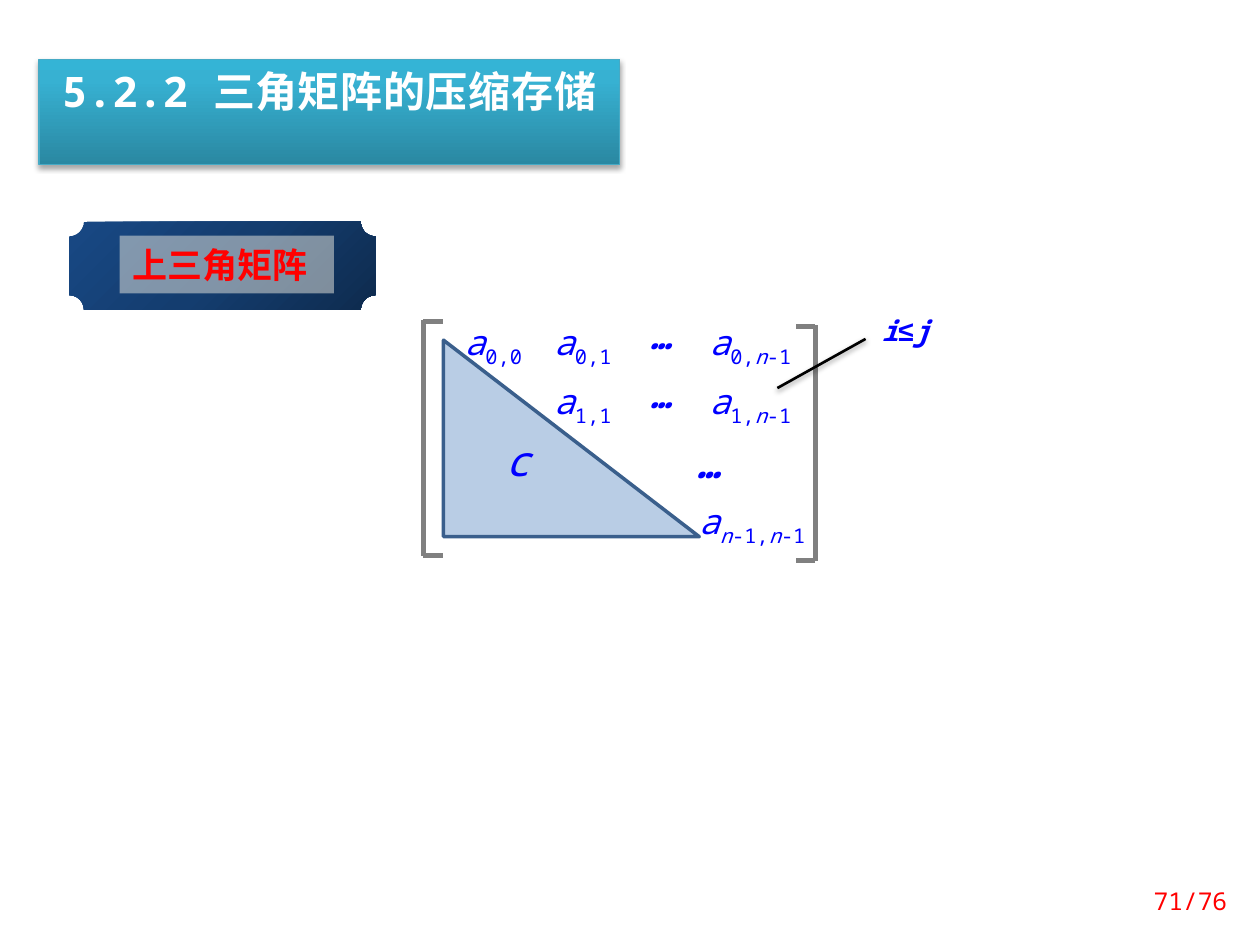
from itertools import groupby

from lxml import etree
from pptx import Presentation
from pptx.dml.color import RGBColor
from pptx.enum.shapes import MSO_CONNECTOR as LINK, MSO_SHAPE as SHAPE
from pptx.enum.text import MSO_ANCHOR as ANCHOR, MSO_AUTO_SIZE as SIZE, PP_ALIGN as ALIGN
from pptx.oxml import parse_xml
from pptx.oxml.ns import nsdecls, qn
from pptx.util import Inches, Pt

BLUE = RGBColor(0x00, 0x00, 0xFF)
RED = RGBColor(0xFF, 0x00, 0x00)
WHITE = RGBColor(0xFF, 0xFF, 0xFF)
BLACK = RGBColor(0x00, 0x00, 0x00)
GRAY = RGBColor(0x80, 0x80, 0x80)
CREAM = RGBColor(0xEE, 0xEC, 0xE1)
PALE = RGBColor(0xB9, 0xCD, 0xE5)
STEEL = RGBColor(0x3A, 0x5F, 0x8C)
TEAL = RGBColor(0x46, 0xAA, 0xC5)
NAVY_STOPS = [(0, RGBColor(0x0E, 0x2B, 0x4E)), (50, RGBColor(0x14, 0x3D, 0x6F)),
              (100, RGBColor(0x18, 0x48, 0x84))]
TEAL_STOPS = [(0, RGBColor(0x2A, 0x88, 0xA2)), (80, RGBColor(0x37, 0xB1, 0xD2)),
              (100, RGBColor(0x34, 0xB4, 0xD6))]
UPWARD = '<a:lin ang="16200000" scaled="0"/>'
CORNER = '<a:path path="circle"><a:fillToRect l="100000" t="100000"/></a:path>'
MONO, HAN, SANS = "Noto Sans Mono", "Noto Sans CJK SC", "Arial"


class Deck:
    """Holds the style and the slide being drawn."""

    def __init__(self):
        self.prs = Presentation()
        self.prs.slide_width, self.prs.slide_height = Inches(10), Inches(7.5)
        self.slide = self.prs.slides.add_slide(self.prs.slide_layouts[5])
        self.shapes = self.slide.shapes

    def group(self):
        self.shapes = self.slide.shapes.add_group_shape().shapes

    def font(self, run, size, color, face=MONO, bold=False, italic=False):
        font = run.font
        font.size, font.name, font.bold, font.italic = Pt(size), face, bold, italic
        font.color.rgb = color
        east = etree.SubElement(run._r.get_or_add_rPr(), qn("a:ea"))
        east.set("typeface", HAN if face == MONO and not run.text.isascii()
                 and run.text != "…" else face)

    def shade(self, shape, stops, course):
        shape.fill.solid()
        marks = "".join(f'<a:gs pos="{pos * 1000}"><a:srgbClr val="{color}"/></a:gs>'
                        for pos, color in stops)
        grad = parse_xml(f'<a:gradFill {nsdecls("a")} rotWithShape="1">'
                         f'<a:gsLst>{marks}</a:gsLst>{course}</a:gradFill>')
        props = shape._element.spPr
        props.replace(props.find(qn("a:solidFill")), grad)

    def effect(self, shape, alpha=0, dist=0):
        """Adds a downward shadow, or an empty effect list."""
        props = shape._element.spPr
        effects = etree.SubElement(props, qn("a:effectLst"))
        if alpha:
            effects.append(parse_xml(
                f'<a:outerShdw {nsdecls("a")} blurRad="{Pt(3.1)}" dist="{Pt(dist)}" '
                f'dir="5400000" rotWithShape="0"><a:srgbClr val="{BLACK}">'
                f'<a:alpha val="{alpha * 1000}"/></a:srgbClr></a:outerShdw>'))

    def line(self, x1, y1, x2, y2, color=GRAY, width=3, **shadow):
        link = self.shapes.add_connector(LINK.STRAIGHT, *map(Inches, (x1, y1, x2, y2)))
        link.line.color.rgb, link.line.width = color, Pt(width)
        self.effect(link, **shadow)

    def shape(self, kind, x, y, w, h):
        shape = self.shapes.add_shape(kind, *map(Inches, (x, y, w, h)))
        shape.shadow.inherit = False
        shape.line.fill.background()
        return shape

    def text(self, x, y, w, h, parts, size, align=ALIGN.CENTER, inset=True,
             color=BLUE, bold=False, spacing=0.8, grow=True):
        """Each part is (text, italic, subscript, face)."""
        box = self.shapes.add_textbox(*map(Inches, (x, y, w, h)))
        frame = box.text_frame
        frame.word_wrap = True
        frame.auto_size = SIZE.SHAPE_TO_FIT_TEXT if grow else SIZE.NONE
        if not inset:
            frame.margin_left = frame.margin_right = 0
            frame.margin_top = frame.margin_bottom = 0
        par = frame.paragraphs[0]
        par.alignment, par.line_spacing = align, spacing
        for words, italic, low, face in parts:
            run = par.add_run()
            run.text = words
            self.font(run, size, color, face, bold, italic)
            if low:
                run.font._element.set("baseline", "-25000")
        return frame

    def term(self, x, y, index, w=0.79):
        """Writes the matrix element a with its index; letters are italic."""
        low = [("".join(chars), alpha, True, MONO)
               for alpha, chars in groupby(index, str.isalpha)]
        self.text(x, y, w, 0.27, [("a", True, False, MONO)] + low, 20, inset=False)

    def dots(self, x, y, size=20, h=0.27):
        self.text(x, y, 0.63, h, [("…", True, False, MONO)], size,
                  inset=False, bold=True)

    def title(self, x, y, w, h, first, rest):
        box = self.slide.shapes.title
        box.left, box.top, box.width, box.height = map(Inches, (x, y, w, h))
        self.shade(box, TEAL_STOPS, UPWARD)
        box.line.color.rgb, box.line.width = TEAL, Pt(0.75)
        self.effect(box, alpha=35, dist=1.8)
        frame = box.text_frame
        frame.auto_size, frame.vertical_anchor = SIZE.SHAPE_TO_FIT_TEXT, ANCHOR.TOP
        frame.word_wrap = True
        par = frame.paragraphs[0]
        par.alignment = ALIGN.CENTER
        for words in (first, rest):
            run = par.add_run()
            run.text = words
            self.font(run, 24, WHITE, bold=True)
        run.font._element.set("spc", "50")

    def plaque(self, words):
        plate = self.shape(SHAPE.PLAQUE, 0.55, 1.76, 2.43, 0.7)
        self.shade(plate, NAVY_STOPS, CORNER)
        label = self.shape(SHAPE.RECTANGLE, 0.95, 1.87, 1.7, 0.46)
        label.fill.solid()
        label.fill.fore_color.rgb = CREAM
        tint = label._element.spPr.find(qn("a:solidFill"))[0]
        etree.SubElement(tint, qn("a:alpha")).set("val", "50000")
        frame = label.text_frame
        frame.text = words
        frame.word_wrap, frame.vertical_anchor = False, ANCHOR.MIDDLE
        par = frame.paragraphs[0]
        par.alignment = ALIGN.LEFT
        hang = par._p.get_or_add_pPr()
        hang.set("marL", str(Inches(0.5)))
        hang.set("indent", str(Inches(-0.5)))
        self.font(par.runs[0], 20, RED, HAN, bold=True)


def main():
    deck = Deck()
    deck.title(0.31, 0.47, 4.61, 0.5, "5.2.2 三角", "矩阵的压缩存储")

    # Matrix brackets
    deck.group()
    for x, tick, top in ((3.36, 3.52, 2.54), (6.47, 6.32, 2.58)):
        foot = top + 1.87
        deck.line(x, top, x, foot)
        for y in (top + 0.01, foot):
            deck.line(x, y, tick, y)

    # Matrix elements
    cols = (3.52, 4.23, 5.56)
    for y, row in ((2.58, ("0,0", "0,1", "0,n-1")), (3.05, ("", "1,1", "1,n-1"))):
        for x, index in zip(cols, row):
            if index:
                deck.term(x, y, index)
        deck.dots(4.93, y - 0.02)
    deck.term(5.45, 4, "n-1,n-1", 1.04)

    # Lower triangle of constants
    lower = deck.shape(SHAPE.RIGHT_TRIANGLE, 3.52, 2.7, 2.03, 1.56)
    lower.fill.solid()
    lower.fill.fore_color.rgb = PALE
    lower.line.color.rgb, lower.line.width = STEEL, Pt(2)
    deck.text(3.91, 3.48, 0.39, 0.43, [("c", True, False, MONO)], 24, ALIGN.LEFT)
    deck.dots(5.31, 3.56, 22, 0.3)

    # Index condition
    deck.line(6.17, 3.08, 6.87, 2.69, BLACK, 1.5, alpha=38, dist=1.6)
    deck.text(6.72, 2.49, 0.94, 0.32,
              [("i", True, False, MONO), ("≤", False, False, SANS),
               ("j", True, False, MONO)], 16, bold=True)

    # Section label
    deck.group()
    deck.plaque("上三角矩阵")

    # Page number
    deck.shapes = deck.slide.shapes
    page = deck.text(8.78, 6.95, 1.06, 0.4, [("71/76", False, False, MONO)], 14,
                     ALIGN.RIGHT, color=RED, spacing=1, grow=False)
    page.vertical_anchor = ANCHOR.MIDDLE

    deck.prs.save("out.pptx")


if __name__ == "__main__":
    main()
